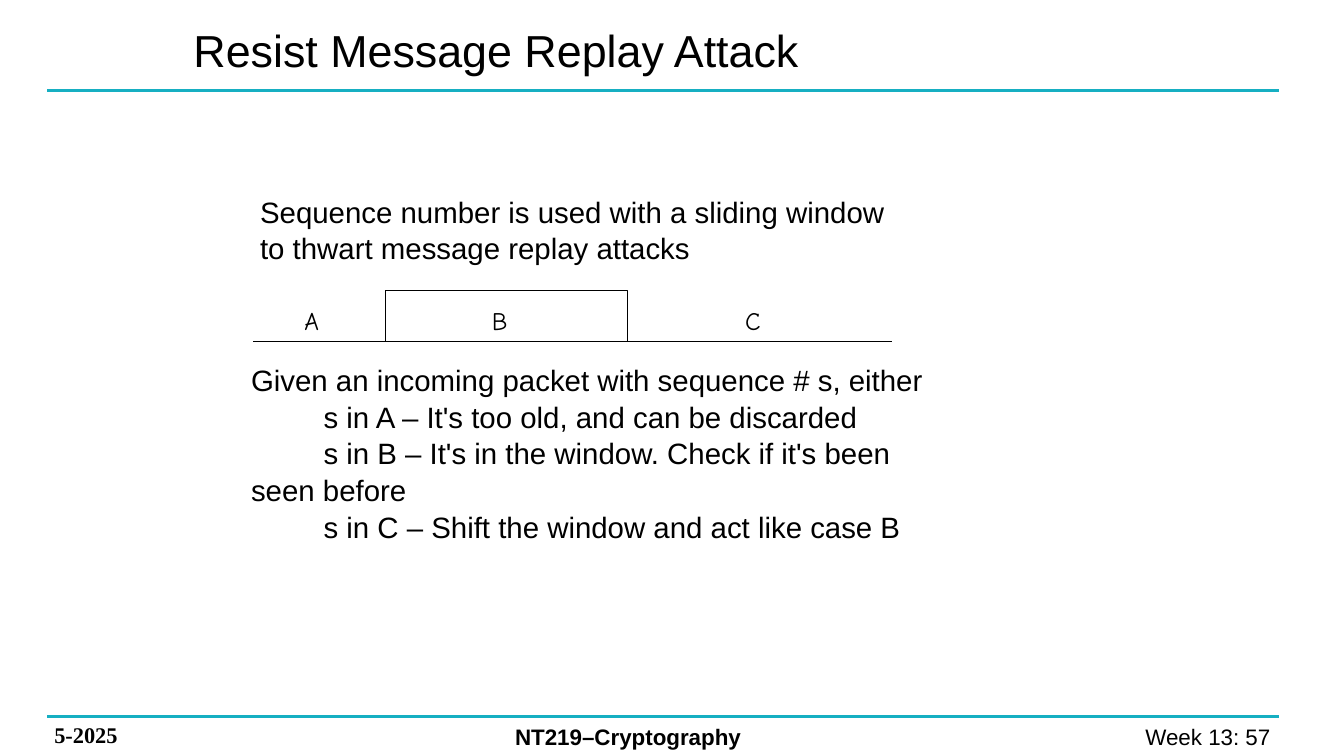
import pptx
import pptx.dml.color
import pptx.enum.shapes
import pptx.enum.text
import pptx.oxml
import pptx.oxml.ns
import pptx.util
from dataclasses import dataclass

Inches = pptx.util.Inches


@dataclass(frozen=True)
class Theme:
    ink: str = "000000"
    paper: str = "FFFFFF"
    rule: str = "16AFC2"
    sans: str = "Arial"
    serif: str = "Times New Roman"
    comic: str = "Comic Neue"
    title: int = 32
    body: int = 21
    label: int = 18
    footer: int = 16
    rule_width: float = 2.25
    thin_width: float = 0.75
    body_spacing: float = 1.04
    body_tab: float = 0.72


class SlideBuilder:
    def __init__(self, slide, theme):
        self.shapes = slide.shapes
        self.theme = theme

    def color(self, value):
        return pptx.dml.color.RGBColor.from_string(value)

    def line(self, left, right, y, color, width):
        connector = self.shapes.add_connector(
            pptx.enum.shapes.MSO_CONNECTOR.STRAIGHT,
            Inches(left), Inches(y), Inches(right), Inches(y))
        connector.line.color.rgb = self.color(color)
        connector.line.width = pptx.util.Pt(width)
        effects = pptx.oxml.parse_xml(
            f"<a:effectLst {pptx.oxml.ns.nsdecls('a')}/>")
        connector.element.spPr.append(effects)

    def rectangle(self, left, top, width, height):
        box = self.shapes.add_shape(
            pptx.enum.shapes.MSO_SHAPE.RECTANGLE,
            Inches(left), Inches(top), Inches(width), Inches(height))
        box.shadow.inherit = False
        box.fill.solid()
        box.fill.fore_color.rgb = self.color(self.theme.paper)
        box.line.color.rgb = self.color(self.theme.ink)
        box.line.width = pptx.util.Pt(self.theme.thin_width)

    def text(self, left, top, width, height, paragraphs, size, font=None,
             bold=False, align="LEFT", anchor="TOP", inset=(0.1, 0.05),
             spacing=None, tab=None):
        frame = self.shapes.add_textbox(
            Inches(left), Inches(top), Inches(width), Inches(height)).text_frame
        frame.word_wrap = True
        frame.vertical_anchor = pptx.enum.text.MSO_ANCHOR[anchor]
        frame.margin_left = frame.margin_right = Inches(inset[0])
        frame.margin_top = frame.margin_bottom = Inches(inset[1])
        frame.text = "\n".join(paragraphs)
        for paragraph in frame.paragraphs:
            paragraph.alignment = pptx.enum.text.PP_ALIGN[align]
            if spacing:
                paragraph.line_spacing = spacing
            if tab:
                paragraph._p.get_or_add_pPr().append(pptx.oxml.parse_xml(
                    f"<a:tabLst {pptx.oxml.ns.nsdecls('a')}>"
                    f'<a:tab pos="{Inches(tab)}" algn="l"/></a:tabLst>'))
            for run in paragraph.runs:
                run.font.size = pptx.util.Pt(size)
                run.font.name = font or self.theme.sans
                run.font.bold = bold
                run.font.color.rgb = self.color(self.theme.ink)

    def body(self, left, top, width, height, paragraphs):
        self.text(left, top, width, height, paragraphs, self.theme.body,
                  inset=(0.07, 0.03), spacing=self.theme.body_spacing,
                  tab=self.theme.body_tab)


def main():
    theme = Theme()
    deck = pptx.Presentation()
    deck.slide_width, deck.slide_height = Inches(13.33), Inches(7.5)
    page = SlideBuilder(deck.slides.add_slide(deck.slide_layouts[6]), theme)

    for rule_y in (0.9, 7.11):
        page.line(0.47, 12.69, rule_y, theme.rule, theme.rule_width)
    page.text(9.82, 7.12, 2.94, 0.37, ["Week 13: 57 "], theme.footer,
              align="RIGHT")
    page.text(0.44, 7.11, 1.78, 0.37, ["5-2025"], theme.footer,
              font=theme.serif, bold=True)
    page.text(5.01, 7.12, 4.09, 0.37, ["NT219–Cryptography"], theme.footer,
              bold=True)

    page.text(1.82, 0, 8.16, 0.99, ["Resist Message Replay Attack"],
              theme.title, anchor="MIDDLE")
    page.body(2.51, 1.88, 6.44, 0.86, [
        "Sequence number is used with a sliding window \v"
        "to thwart message replay attacks"])

    page.rectangle(3.82, 2.88, 2.4, 0.51)
    for start, end in ((2.51, 4.04), (6.01, 8.85)):
        page.line(start, end, 3.39, theme.ink, theme.thin_width)
    for region, left in (("A", 2.95), ("B", 4.81), ("C", 7.32)):
        page.text(left, 3, 0.33, 0.39, [region], theme.label,
                  font=theme.comic, inset=(0.07, 0.03))

    page.body(2.42, 3.55, 6.96, 1.37, [
        "Given an incoming packet with sequence # s, either",
        "\ts in A – It's too old, and can be discarded",
        "\ts in B – It's in the window. Check if it's been seen before",
        "\ts in C – Shift the window and act like case B"])

    deck.save("out.pptx")


if __name__ == "__main__":
    main()
